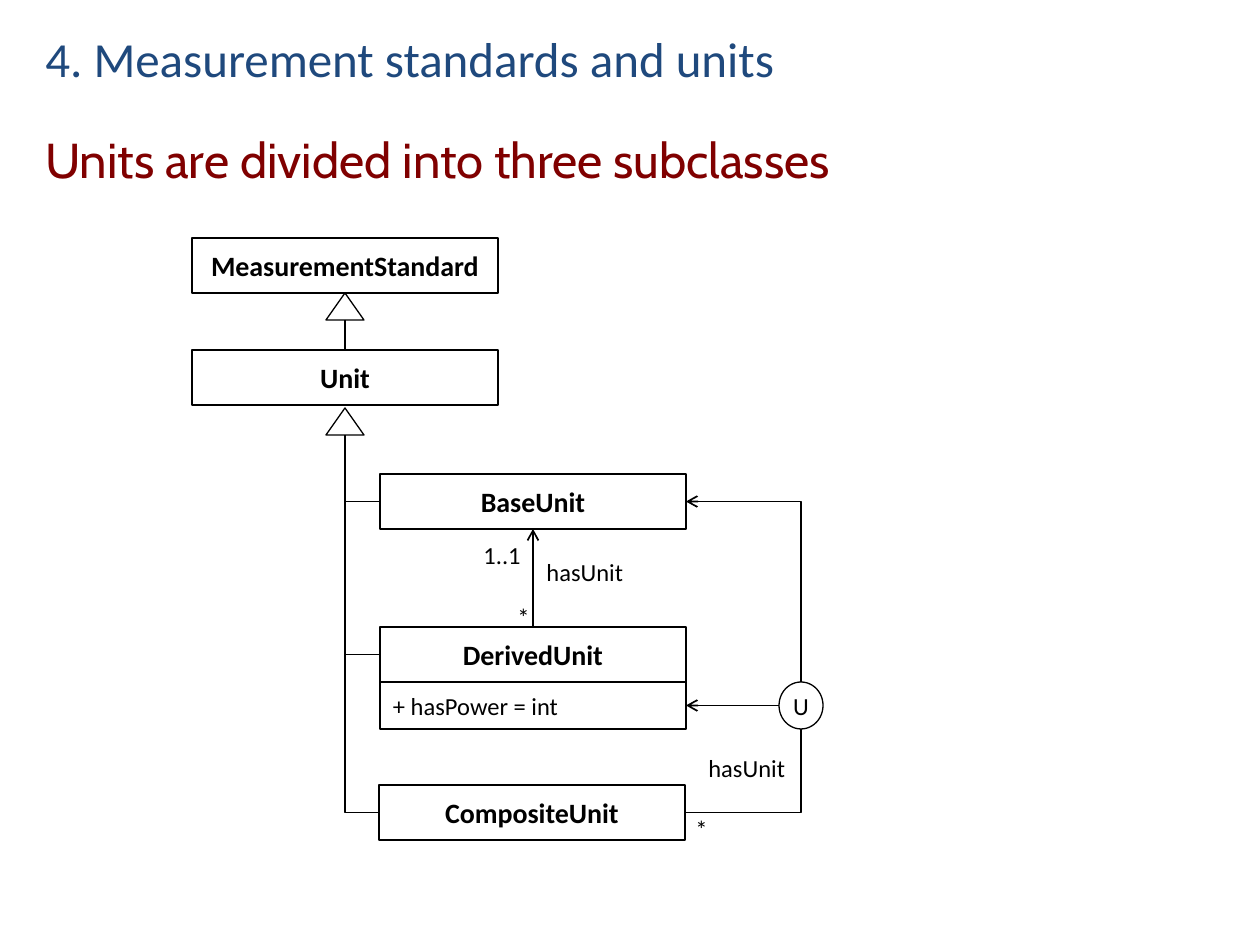
"""Build the slide on measurement standards and units."""
from dataclasses import dataclass

import pptx
import pptx.util
import pptx.dml.color
import pptx.enum.shapes
import pptx.enum.text
import pptx.oxml
import pptx.oxml.ns
from lxml import etree

SCALE = 914400 / 126
HUES = {"black": "000000", "white": "FFFFFF", "navy": "1F497D", "maroon": "800000"}
KIND = pptx.enum.shapes.MSO_SHAPE
WIRE = pptx.enum.shapes.MSO_CONNECTOR
ALIGN = pptx.enum.text.PP_ALIGN
ANCHOR = pptx.enum.text.MSO_ANCHOR
SITES = {
    KIND.RECTANGLE: {"n": 0, "w": 1, "s": 2, "e": 3},
    KIND.OVAL: {"n": 0, "w": 2, "s": 4, "e": 6},
    KIND.ISOSCELES_TRIANGLE: {"n": 0, "s": 3},
}
SHIFT = {"n": (0.5, 0), "w": (0, 0.5), "s": (0.5, 1), "e": (1, 0.5)}


@dataclass
class Node:
    name: str
    x: int
    y: int
    w: int = 306
    h: int = 55
    text: str = ""
    size: int = 16
    bold: bool = True
    align: ALIGN = ALIGN.CENTER
    kind: KIND = KIND.RECTANGLE
    fill: bool = True
    inset: int = 13


@dataclass
class Link:
    start: str
    side: str
    end: str
    face: str
    arrow: bool = False


@dataclass
class Label:
    text: str
    x: int
    y: int
    w: int
    h: int = 43
    size: int = 14
    font: str = "Calibri"
    hue: str = "black"
    anchor: ANCHOR = ANCHOR.TOP


NODES = [
    Node("standard", 192, 238, text="MeasurementStandard"),
    Node("unit", 192, 350, text="Unit"),
    Node("base", 380, 474, text="BaseUnit"),
    Node("derived", 380, 627, text="DerivedUnit"),
    Node("blend", 379, 785, text="CompositeUnit"),
    Node("power", 380, 682, h=47, text="+ hasPower = int", size=14, bold=False, align=ALIGN.LEFT),
    Node("upper", 326, 293, 38, 27, kind=KIND.ISOSCELES_TRIANGLE, fill=False),
    Node("lower", 326, 408, 38, 27, kind=KIND.ISOSCELES_TRIANGLE, fill=False),
    Node("union", 779, 682, 44, 47, "U", 14, False, kind=KIND.OVAL, inset=0),
]
LINKS = [
    Link("upper", "s", "unit", "n"),
    *[Link(name, "w", "lower", "s") for name in ("base", "derived", "blend")],
    Link("base", "s", "derived", "n", True),
    Link("blend", "e", "union", "s"),
    Link("power", "e", "union", "w", True),
    Link("base", "e", "union", "n", True),
]
LABELS = [
    Label("4. Measurement standards and units", 33, 18, 1194, 79, 28, hue="navy", anchor=ANCHOR.MIDDLE),
    Label("Units are divided into three subclasses", 33, 123, 1194, 774, 28, "Cabin", "maroon"),
    Label("hasUnit", 534, 551, 156),
    Label("1..1", 471, 534, 82),
    Label("*", 505, 596, 33, 72),
    Label("hasUnit", 696, 747, 134),
    Label("*", 683, 808, 64),
]


def emu(px: float) -> int:
    """Turn pixels into EMU."""
    return round(px * SCALE)


def tint(name: str) -> pptx.dml.color.RGBColor:
    """Look up a colour."""
    return pptx.dml.color.RGBColor.from_string(HUES[name])


def write(frame, text: str, size: int, font: str, hue: str, bold: bool, align: ALIGN) -> None:
    """Put one run of text into a frame."""
    frame.word_wrap = True
    para = frame.paragraphs[0]
    para.alignment = align
    run = para.add_run()
    run.text = text
    run.font.size = pptx.util.Pt(size)
    run.font.name = font
    run.font.bold = bold
    run.font.color.rgb = tint(hue)


def draw_node(slide, node: Node):
    """Draw a box, triangle or circle."""
    shape = slide.shapes.add_shape(node.kind, *map(emu, (node.x, node.y, node.w, node.h)))
    shape.shadow.inherit = False
    if node.fill:
        shape.fill.solid()
        shape.fill.fore_color.rgb = tint("white")
    else:
        shape.fill.background()
    shape.line.color.rgb = tint("black")
    shape.line.width = pptx.util.Pt(0.75)
    if node.text:
        frame = shape.text_frame
        frame.vertical_anchor = ANCHOR.MIDDLE
        frame.margin_left = frame.margin_right = emu(node.inset)
        write(frame, node.text, node.size, "Calibri", "black", node.bold, node.align)
    return shape


def spot(node: Node, side: str) -> tuple[int, int]:
    """Find the middle of one side of a node."""
    across, down = SHIFT[side]
    return emu(node.x + across * node.w), emu(node.y + down * node.h)


def draw_link(slide, link: Link, nodes: dict, shapes: dict) -> None:
    """Join two nodes by a straight or bent line."""
    bent = (link.side in "ns") != (link.face in "ns")
    ends = [(link.start, link.side, "a:stCxn"), (link.end, link.face, "a:endCxn")]
    points = [value for name, side, _ in ends for value in spot(nodes[name], side)]
    line = slide.shapes.add_connector(WIRE.ELBOW if bent else WIRE.STRAIGHT, *points)
    line.line.color.rgb = tint("black")
    line.line.width = pptx.util.Pt(1)
    qn = pptx.oxml.ns.qn
    props = line.element.find(qn("p:spPr"))
    if bent:
        props.find(qn("a:prstGeom")).set("prst", "bentConnector2")
    if link.arrow:
        etree.SubElement(props.find(qn("a:ln")), qn("a:headEnd"), type="arrow")
    etree.SubElement(props, qn("a:effectLst"))
    joint = line.element.find(qn("p:nvCxnSpPr")).find(qn("p:cNvCxnSpPr"))
    for name, side, tag in ends:
        site = SITES[nodes[name].kind][side]
        etree.SubElement(joint, qn(tag), id=str(shapes[name].shape_id), idx=str(site))


def draw_label(slide, label: Label) -> None:
    """Draw a text box."""
    box = slide.shapes.add_textbox(*map(emu, (label.x, label.y, label.w, label.h)))
    box.text_frame.vertical_anchor = label.anchor
    write(box.text_frame, label.text, label.size, label.font, label.hue, False, ALIGN.LEFT)


def main() -> None:
    """Build and save the deck."""
    deck = pptx.Presentation()
    deck.slide_width, deck.slide_height = emu(1260), emu(945)
    slide = deck.slides.add_slide(deck.slide_layouts[6])
    nodes = {node.name: node for node in NODES}
    shapes = {node.name: draw_node(slide, node) for node in NODES}
    for link in LINKS:
        draw_link(slide, link, nodes, shapes)
    for label in LABELS:
        draw_label(slide, label)
    deck.save("out.pptx")


main()
